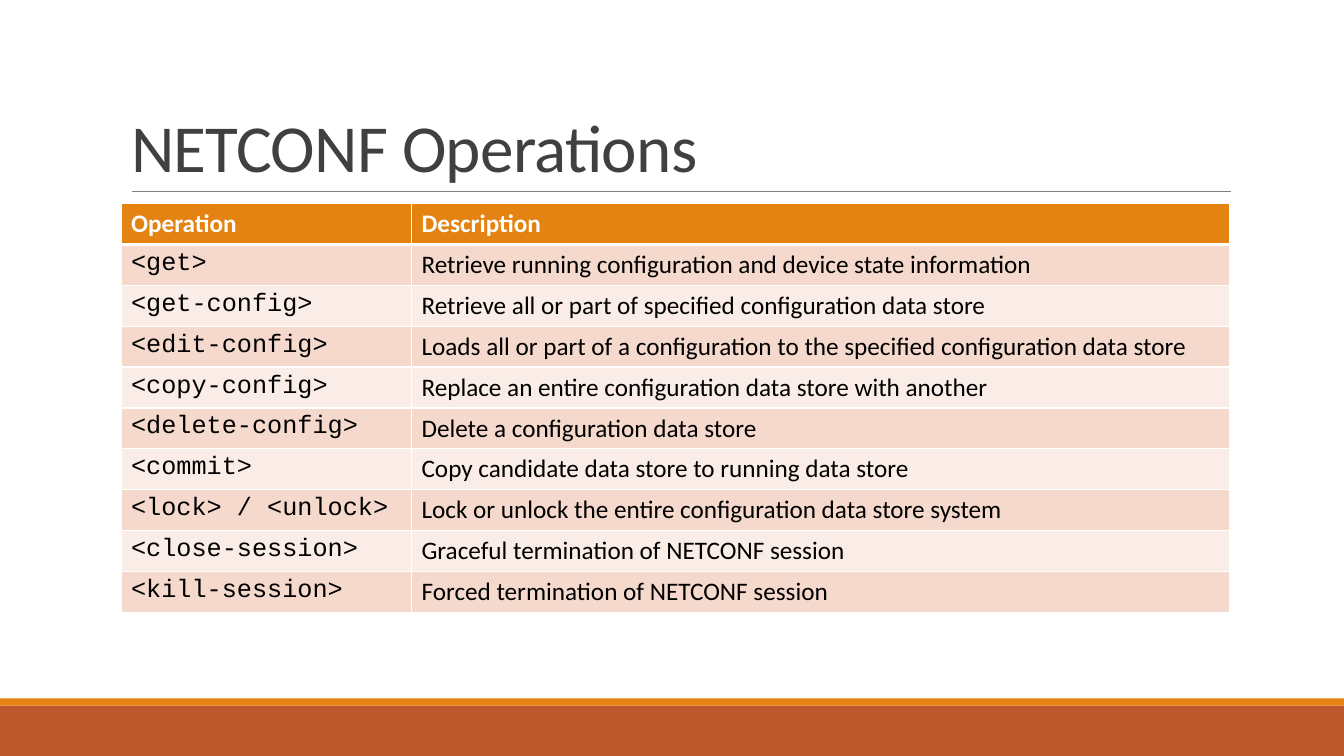
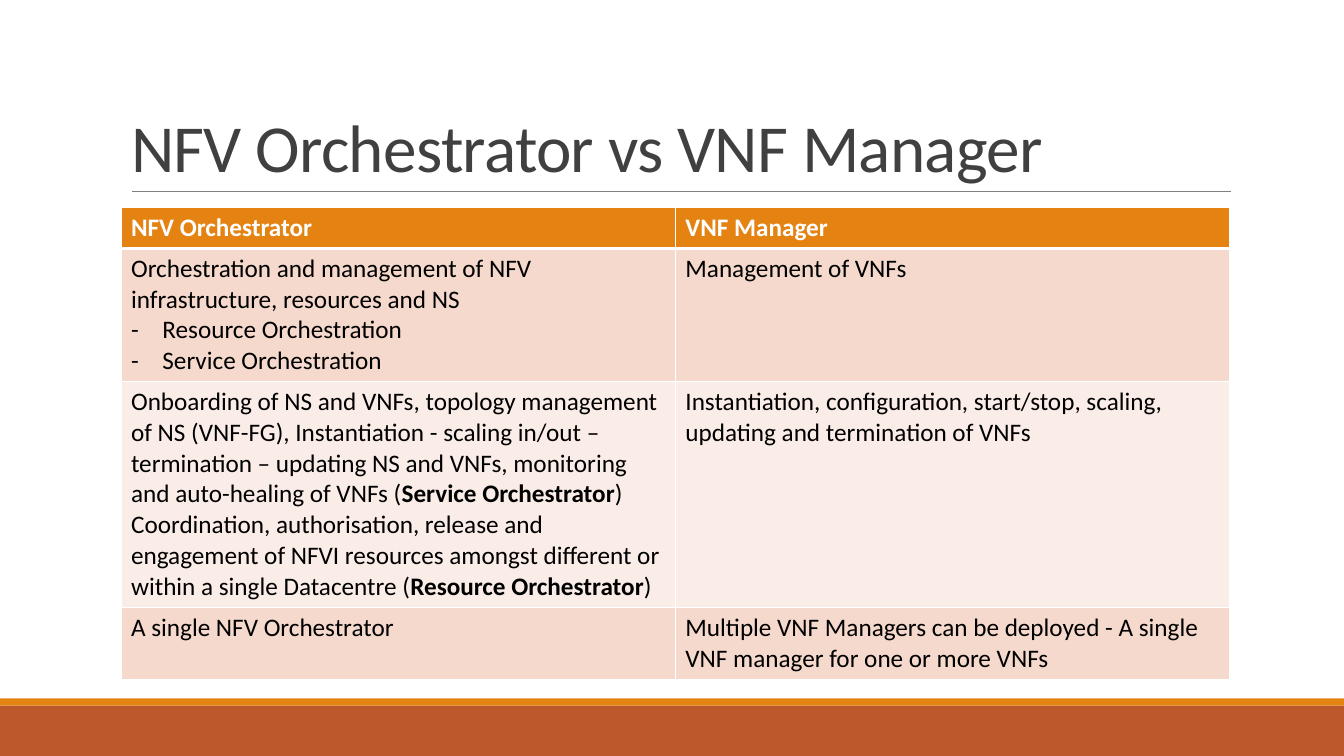
from dataclasses import dataclass

from lxml import etree
from pptx import Presentation
from pptx.dml.color import RGBColor
from pptx.enum.shapes import MSO_CONNECTOR, MSO_SHAPE
from pptx.enum.text import MSO_ANCHOR, MSO_AUTO_SIZE, PP_ALIGN
from pptx.oxml.ns import qn
from pptx.util import Cm, Pt

RECTANGLE = MSO_SHAPE.RECTANGLE
STRAIGHT = MSO_CONNECTOR.STRAIGHT
BOTTOM = MSO_ANCHOR.BOTTOM
NO_AUTOFIT = MSO_AUTO_SIZE.NONE
LEFT = PP_ALIGN.LEFT
TITLE_ONLY = 5


@dataclass(frozen=True)
class Theme:
    footer: str = "BD582C"
    accent: str = "E48312"
    rule: str = "808080"
    title: str = "404040"
    header_text: str = "FFFFFF"
    body_text: str = "000000"
    border: str = "FFFFFF"
    stripes: tuple = ("F5D9CC", "FAEDE7")
    font: str = "Calibri"
    code_font: str = "Courier New"
    title_size: float = 48
    table_size: float = 18
    rule_width: float = 0.5
    border_width: float = 1
    header_border_width: float = 3


THEME = Theme()
SLIDE_WIDTH, SLIDE_HEIGHT = Cm(33.87), Cm(19.05)
CONTENT_LEFT, CONTENT_WIDTH = Cm(3.05), Cm(27.94)
ROW_HEIGHT = 1.03
BULLET_INDENT = Cm(0.79)

OPERATIONS = [
    ("Operation", "Description"),
    ("<get>", "Retrieve running configuration and device state information"),
    ("<get-config>", "Retrieve all or part of specified configuration data store"),
    ("<edit-config>", "Loads all or part of a configuration to the specified configuration data store"),
    ("<copy-config>", "Replace an entire configuration data store with another"),
    ("<delete-config>", "Delete a configuration data store"),
    ("<commit>", "Copy candidate data store to running data store"),
    ("<lock> / <unlock>", "Lock or unlock the entire configuration data store system"),
    ("<close-session>", "Graceful termination of NETCONF session"),
    ("<kill-session>", "Forced termination of NETCONF session"),
]

COMPARISON = [
    ("NFV Orchestrator", "VNF Manager"),
    (
        "Orchestration and management of NFV infrastructure, resources and NS\n"
        "- Resource Orchestration\n"
        "- Service Orchestration",
        "Management of VNFs",
    ),
    (
        "Onboarding of NS and VNFs, topology management of NS (VNF-FG), "
        "Instantiation - scaling in/out – termination – updating NS and VNFs, "
        "monitoring and auto-healing of VNFs (**Service Orchestrator**)\n"
        "Coordination, authorisation, release and engagement of NFVI resources "
        "amongst different or within a single Datacentre (**Resource Orchestrator**)",
        "Instantiation, configuration, start/stop, scaling, updating and termination of VNFs",
    ),
    (
        "A single NFV Orchestrator",
        "Multiple VNF Managers can be deployed - A single VNF manager for one or more VNFs",
    ),
]


def apply_format(target, values):
    for name, value in values.items():
        setattr(target, name, value)


def format_font(font, color, size, name=THEME.font, bold=False):
    apply_format(font, {"name": name, "size": Pt(size), "bold": bold})
    font.color.rgb = RGBColor.from_string(color)


def fill_solid(target, color):
    target.fill.solid()
    target.fill.fore_color.rgb = RGBColor.from_string(color)


def add_band(slide, top, height, color):
    band = slide.shapes.add_shape(RECTANGLE, 0, Cm(top), SLIDE_WIDTH, Cm(height))
    band.shadow.inherit = False
    fill_solid(band, color)
    band.line.fill.background()
    return band


def add_title_rule(slide):
    y = Cm(4.83)
    rule = slide.shapes.add_connector(STRAIGHT, Cm(3.33), y, Cm(31.01), y)
    rule.line.width = Pt(THEME.rule_width)
    rule.line.color.rgb = RGBColor.from_string(THEME.rule)
    etree.SubElement(rule.element.spPr, qn("a:effectLst"))
    return rule


def move_frame_to_layout(slide):
    frame = (
        add_band(slide, 17.78, 1.27, THEME.footer),
        add_band(slide, 17.6, 0.18, THEME.accent),
        add_title_rule(slide),
    )
    for part in frame:
        slide.slide_layout.shapes.element.append(part.element)


def add_titled_slide(deck, text):
    slide = deck.slides.add_slide(deck.slide_layouts[TITLE_ONLY])
    title = slide.shapes.title
    apply_format(title, {
        "left": CONTENT_LEFT, "top": Cm(0.79),
        "width": CONTENT_WIDTH, "height": Cm(4.04),
    })
    apply_format(title.text_frame, {
        "vertical_anchor": BOTTOM, "word_wrap": True, "auto_size": NO_AUTOFIT,
    })
    paragraph = title.text_frame.paragraphs[0]
    apply_format(paragraph, {"alignment": LEFT, "line_spacing": 0.85})
    heading = paragraph.add_run()
    heading.text = text
    format_font(heading.font, THEME.title, THEME.title_size)
    heading.font._element.set("spc", "-50")
    return slide


def set_borders(cell, row_index):
    widths = dict.fromkeys(("lnL", "lnR", "lnT", "lnB"), THEME.border_width)
    if row_index == 0:
        widths["lnB"] = THEME.header_border_width
    elif row_index == 1:
        widths["lnT"] = THEME.header_border_width
    properties = cell._tc.get_or_add_tcPr()
    for side, width in widths.items():
        border = etree.SubElement(properties, qn(f"a:{side}"), w=str(Pt(width)))
        fill = etree.SubElement(border, qn("a:solidFill"))
        etree.SubElement(fill, qn("a:srgbClr"), val=THEME.border)


def add_dash(paragraph):
    properties = paragraph._p.get_or_add_pPr()
    properties.set("marL", str(BULLET_INDENT))
    properties.set("indent", str(-BULLET_INDENT))
    etree.SubElement(properties, qn("a:buFont"), typeface=THEME.font)
    etree.SubElement(properties, qn("a:buChar"), char="-")


def write_cell(cell, text, color, font, header):
    for index, line in enumerate(text.split("\n")):
        frame = cell.text_frame
        paragraph = frame.add_paragraph() if index else frame.paragraphs[0]
        if line.startswith("- "):
            add_dash(paragraph)
            line = line.removeprefix("- ")
        for position, phrase in enumerate(line.split("**")):
            run = paragraph.add_run()
            run.text = phrase
            emphasized = header or position % 2 == 1
            format_font(run.font, color, THEME.table_size, font, emphasized)


def add_striped_table(slide, content, top, widths, heights, code_column=None):
    table = slide.shapes.add_table(
        len(content), len(widths), CONTENT_LEFT, Cm(top), CONTENT_WIDTH, Cm(sum(heights))
    ).table
    for column, width in zip(table.columns, widths):
        column.width = Cm(width)
    for row, height in zip(table.rows, heights):
        row.height = Cm(height)
    for row_index, texts in enumerate(content):
        header = row_index == 0
        color = THEME.header_text if header else THEME.body_text
        background = THEME.accent if header else THEME.stripes[(row_index - 1) % 2]
        for column_index, text in enumerate(texts):
            cell = table.cell(row_index, column_index)
            is_code = not header and column_index == code_column
            font = THEME.code_font if is_code else THEME.font
            set_borders(cell, row_index)
            fill_solid(cell, background)
            write_cell(cell, text, color, font, header)


def main():
    deck = Presentation()
    apply_format(deck, {"slide_width": SLIDE_WIDTH, "slide_height": SLIDE_HEIGHT})

    operations = add_titled_slide(deck, "NETCONF Operations")
    move_frame_to_layout(operations)
    add_striped_table(operations, OPERATIONS, 5.13, (7.32, 20.62),
                      [ROW_HEIGHT] * len(OPERATIONS), code_column=0)

    comparison = add_titled_slide(deck, "NFV Orchestrator vs VNF Manager")
    add_striped_table(comparison, COMPARISON, 5.23, (13.97, 13.97),
                      (ROW_HEIGHT, 3.35, 5.7, 1.8))

    deck.save("out.pptx")


if __name__ == "__main__":
    main()
